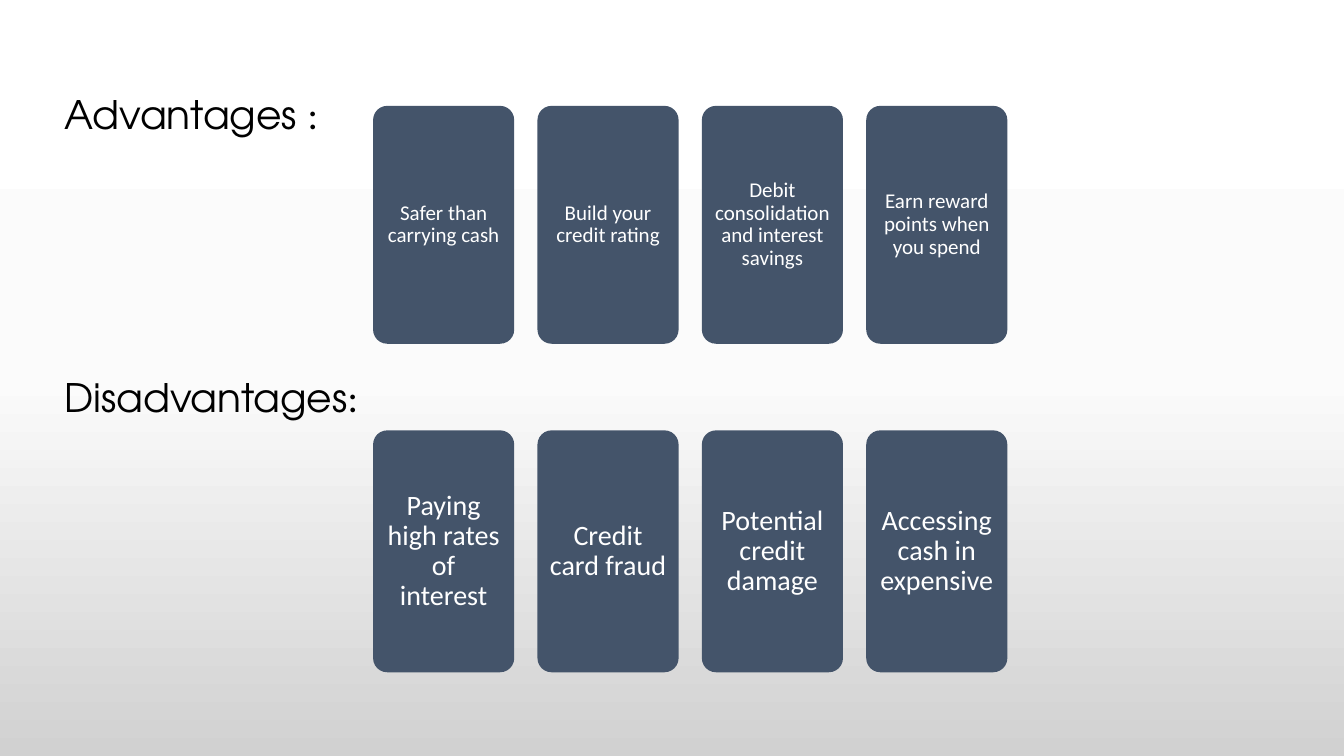
from copy import deepcopy

from pptx import Presentation
from pptx.dml.color import RGBColor
from pptx.enum.shapes import MSO_SHAPE
from pptx.enum.text import MSO_ANCHOR, PP_ALIGN
from pptx.util import Inches, Pt

BLACK = RGBColor(0x00, 0x00, 0x00)
WHITE = RGBColor(0xFF, 0xFF, 0xFF)
SLATE = RGBColor(0x44, 0x54, 0x6A)
BACKGROUND_STOPS = [
    (0, WHITE),
    (0.5, RGBColor(0xFB, 0xFB, 0xFB)),
    (1, RGBColor(0xD1, 0xD1, 0xD1)),
]

BODY_FONT = "Calibri"
HEADING_FONT = "TeX Gyre Adventor"

# Horizontal and vertical places are percentages of the slide's size.
HEADING_LEFT, HEADING_WIDTH, HEADING_HEIGHT = 4.8, 23.5, 8
CARD_LEFT, CARD_WIDTH, CARD_PITCH = 27.76, 10.5, 12.23

SECTIONS = [
    {
        "heading": ("Advantages ", ":"),
        "heading_top": 12,
        "card_top": 14,
        "card_height": 31.47,
        "size": 15,
        "margin": 0.06,
        "cards": [
            "Safer than carrying cash",
            "Build your credit rating",
            "Debit consolidation and interest savings",
            "Earn reward points when you spend",
        ],
    },
    {
        "heading": ("Disadvantages", ":"),
        "heading_top": 49.47,
        "card_top": 56.93,
        "card_height": 32,
        "size": 20,
        "margin": 0.08,
        "cards": [
            "Paying high rates of interest",
            "Credit card fraud",
            "Potential credit damage",
            "Accessing cash in expensive",
        ],
    },
]


def write_text(shape, runs, *, size, color, align=PP_ALIGN.LEFT,
               anchor=MSO_ANCHOR.TOP, margins=(0, 0)):
    """Write (text, font) runs as one paragraph; margins are horizontal, vertical."""
    frame = shape.text_frame
    frame.word_wrap = True
    frame.vertical_anchor = anchor
    frame.margin_left = frame.margin_right = Inches(margins[0])
    frame.margin_top = frame.margin_bottom = Inches(margins[1])
    paragraph = frame.paragraphs[0]
    paragraph.alignment = align
    paragraph.line_spacing = 0.9
    for text, font_name in runs:
        run = paragraph.add_run()
        run.text = text
        run.font.name = font_name
        run.font.size = Pt(size)
        run.font.color.rgb = color


class SlideBuilder:
    def __init__(self, presentation):
        self.width = presentation.slide_width
        self.height = presentation.slide_height
        self.slide = presentation.slides.add_slide(presentation.slide_layouts[6])

    def area(self, left, top, width, height):
        """Turn percentages of the slide into lengths."""
        return (int(self.width * left / 100), int(self.height * top / 100),
                int(self.width * width / 100), int(self.height * height / 100))

    def background(self, stops):
        fill = self.slide.background.fill
        fill.gradient()
        fill.gradient_angle = 270
        stop_list = fill._fill._gradFill.gsLst
        while len(stop_list) < len(stops):
            stop_list.append(deepcopy(stop_list[0]))
        for stop, (position, color) in zip(fill.gradient_stops, stops):
            stop.position = position
            stop.color.rgb = color

    def heading(self, label, colon, top):
        box = self.slide.shapes.add_textbox(
            *self.area(HEADING_LEFT, top, HEADING_WIDTH, HEADING_HEIGHT))
        write_text(box, [(label, HEADING_FONT), (colon, BODY_FONT)],
                   size=28, color=BLACK, margins=(0, 0.05))

    def card(self, text, column, top, height, size, margin):
        left = CARD_LEFT + column * CARD_PITCH
        card = self.slide.shapes.add_shape(
            MSO_SHAPE.ROUNDED_RECTANGLE, *self.area(left, top, CARD_WIDTH, height))
        card.adjustments[0] = 0.1
        card.shadow.inherit = False
        card.fill.solid()
        card.fill.fore_color.rgb = SLATE
        card.line.fill.background()
        write_text(card, [(text, BODY_FONT)], size=size, color=WHITE,
                   align=PP_ALIGN.CENTER, anchor=MSO_ANCHOR.MIDDLE,
                   margins=(margin, margin))


def main():
    presentation = Presentation()
    presentation.slide_width = Inches(13.33)
    presentation.slide_height = Inches(7.5)
    builder = SlideBuilder(presentation)
    builder.background(BACKGROUND_STOPS)
    for section in SECTIONS:
        builder.heading(*section["heading"], section["heading_top"])
        for column, text in enumerate(section["cards"]):
            builder.card(text, column, section["card_top"], section["card_height"],
                         section["size"], section["margin"])
    presentation.save("out.pptx")


if __name__ == "__main__":
    main()
